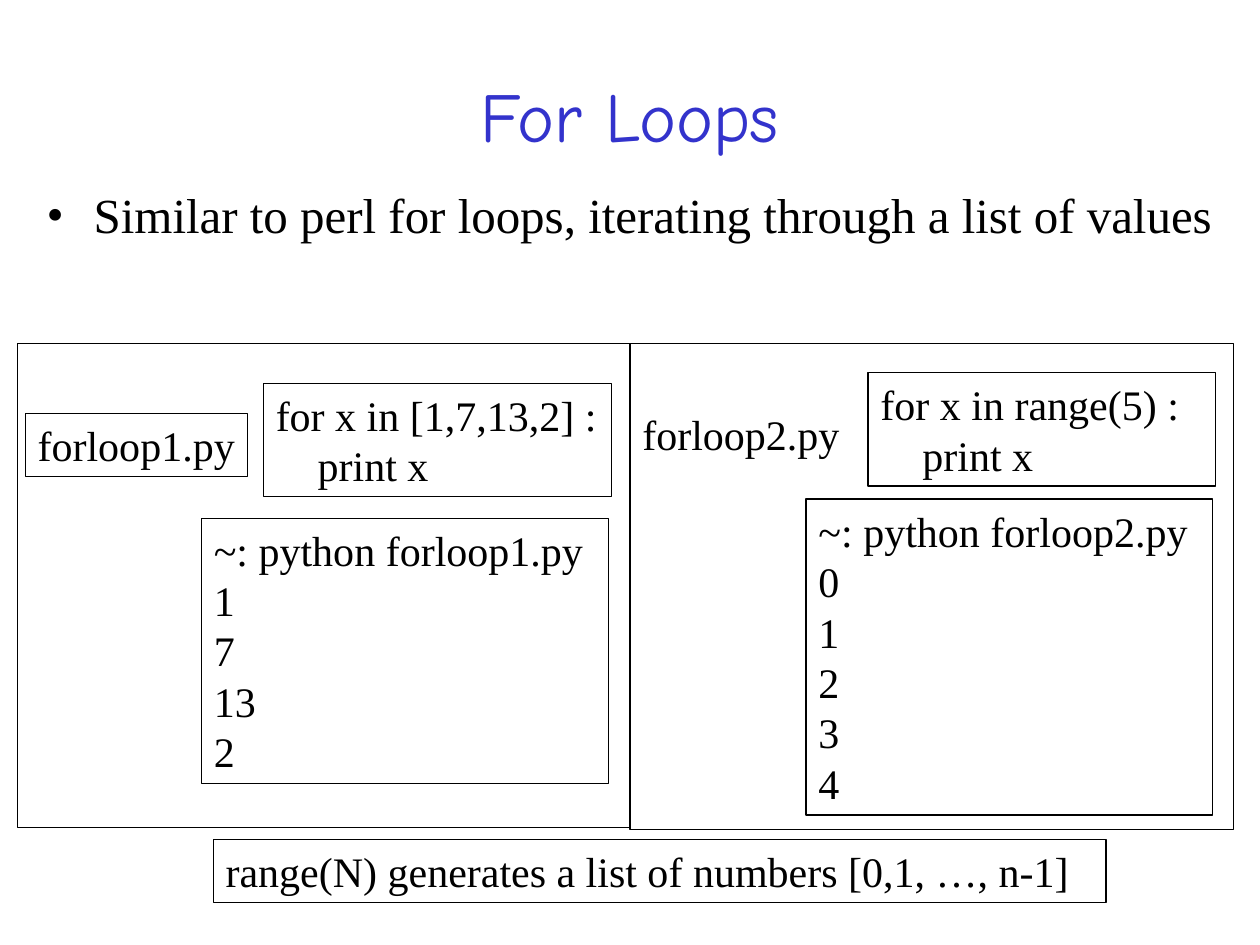
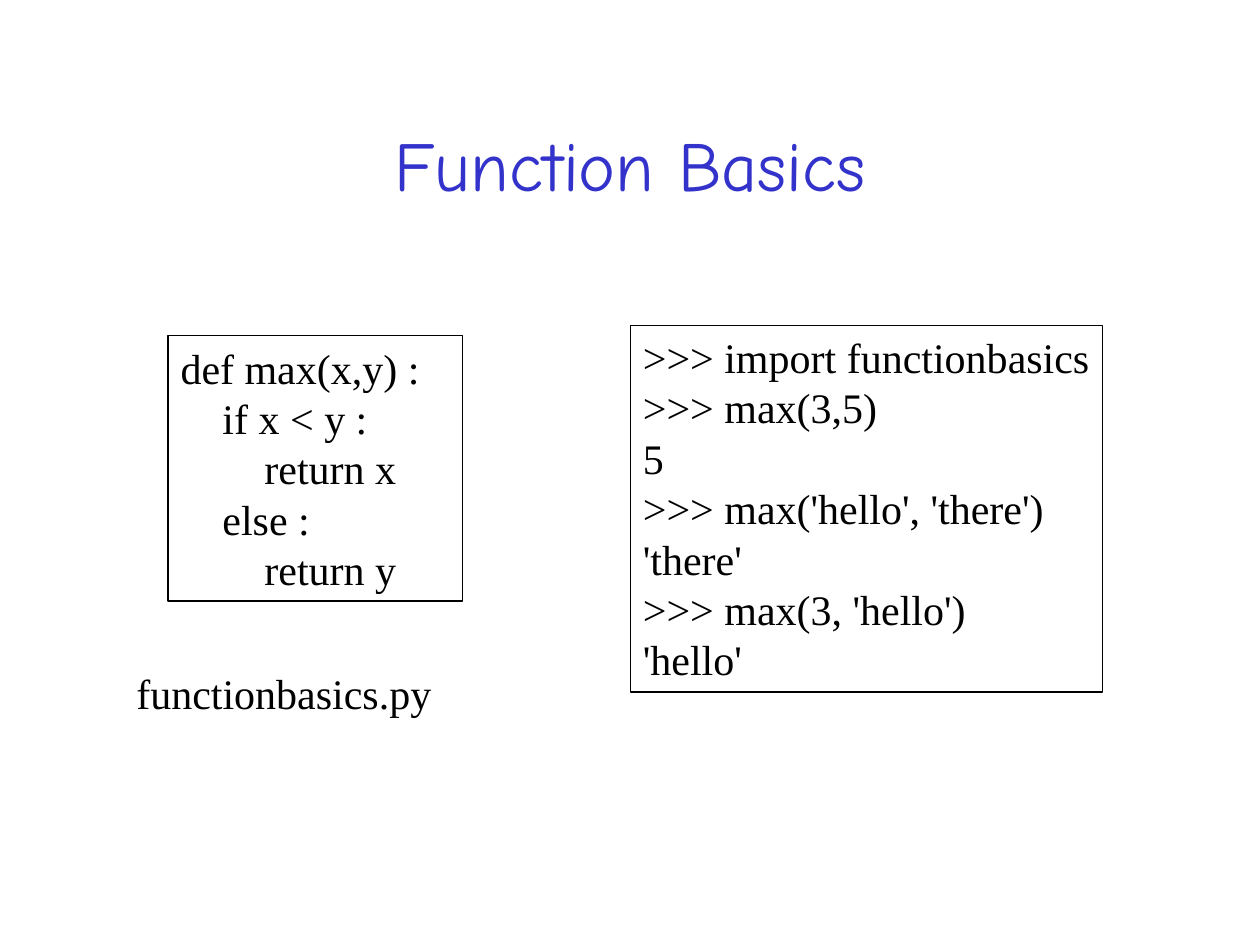
from lxml.etree import SubElement
from pptx import Presentation
from pptx.dml.color import RGBColor
from pptx.enum.shapes import MSO_SHAPE
from pptx.enum.text import MSO_ANCHOR, MSO_AUTO_SIZE, PP_ALIGN
from pptx.oxml.ns import qn
from pptx.util import Cm, Pt

BLACK = RGBColor(0x00, 0x00, 0x00)
TITLE_BLUE = RGBColor(0x33, 0x33, 0xCC)
TITLE_FONT = "Comic Neue"
BODY_FONT = "Times New Roman"
HAIRLINE, THIN = 0.25, 0.75
LINE_HEIGHT = 1.02   # cm, one line of 24 pt code
BOX_PADDING = 0.25   # cm, top and bottom insets together


def set_font(paragraph, name, size, color):
    paragraph.font.name = name
    paragraph.font.size = Pt(size)
    paragraph.font.color.rgb = color


def add_frame(slide, left, top, width, height, weight):
    """Add an unfilled rectangle with a black outline."""
    frame = slide.shapes.add_shape(
        MSO_SHAPE.RECTANGLE, Cm(left), Cm(top), Cm(width), Cm(height))
    frame.shadow.inherit = False
    frame.fill.background()
    frame.line.color.rgb = BLACK
    frame.line.width = Pt(weight)
    return frame


def add_code(slide, left, top, width, lines, weight=None):
    """Add left-aligned lines, framed when a line weight is given."""
    height = LINE_HEIGHT * len(lines) + BOX_PADDING
    if weight is None:
        box = slide.shapes.add_textbox(Cm(left), Cm(top), Cm(width), Cm(height))
    else:
        box = add_frame(slide, left, top, width, height, weight)
    text = box.text_frame
    text.word_wrap = True
    text.margin_right = Cm(0.1)  # leaves room for lines as wide as their box
    text.auto_size = MSO_AUTO_SIZE.SHAPE_TO_FIT_TEXT
    text.vertical_anchor = MSO_ANCHOR.TOP
    text.text = "\n".join(lines)
    for paragraph in text.paragraphs:
        paragraph.alignment = PP_ALIGN.LEFT
        set_font(paragraph, BODY_FONT, 24, BLACK)


def add_title(slide, title, top, height):
    box = slide.shapes.add_textbox(Cm(1.9), Cm(top), Cm(21.6), Cm(height))
    text = box.text_frame
    text.word_wrap = True
    text.vertical_anchor = MSO_ANCHOR.MIDDLE
    text.text = title
    paragraph = text.paragraphs[0]
    paragraph.alignment = PP_ALIGN.CENTER
    set_font(paragraph, TITLE_FONT, 40, TITLE_BLUE)


def add_bullet(slide, left, top, width, height, statement):
    box = slide.shapes.add_textbox(Cm(left), Cm(top), Cm(width), Cm(height))
    text = box.text_frame
    text.word_wrap = True
    text.text = statement
    paragraph = text.paragraphs[0]
    paragraph.line_spacing = 0.9
    properties = paragraph._p.get_or_add_pPr()
    properties.set("marL", str(Cm(0.95)))
    properties.set("indent", str(-Cm(0.95)))
    SubElement(properties, qn("a:buFont")).set("typeface", BODY_FONT)
    SubElement(properties, qn("a:buChar")).set("char", "•")
    set_font(paragraph, BODY_FONT, 28, BLACK)


def add_example(slide, panel, script_name, code, output, shift, output_top,
                weight, label_weight=None):
    """Fill a panel with a script's name, code and output, moved by shift."""
    left, top, width, height = panel
    x, y = left + shift[0], top + shift[1]
    add_code(slide, x + 3.55, top + output_top, 8.2,
             [f"~: python {script_name}", *output], weight)
    add_code(slide, x + 4.8, y + 0.58, 7.01, code, weight)
    add_code(slide, x, y + 1.19, 4.48, [script_name], label_weight)
    add_frame(slide, left, top, width, height, THIN)


def build_for_loops(slide):
    add_title(slide, "For Loops", 1.12, 2.39)
    add_bullet(slide, 0.69, 3.73, 24.2, 2,
               "Similar to perl for loops, iterating through a list of values")
    add_example(slide, (0.36, 6.93, 12.34, 9.75), "forloop1.py",
                ["for x in [1,7,13,2] :", "    print x"],
                ["1", "7", "13", "2"],
                shift=(0.15, 0.21), output_top=3.51,
                weight=HAIRLINE, label_weight=HAIRLINE)
    add_example(slide, (12.7, 6.93, 12.17, 9.8), "forloop2.py",
                ["for x in range(5) :", "    print x"],
                [str(number) for number in range(5)],
                shift=(0, 0), output_top=3.13, weight=THIN)
    add_code(slide, 4.3, 16.92, 18,
             ["range(N) generates a list of numbers [0,1, …, n-1]"], THIN)


def build_function_basics(slide):
    add_title(slide, "Function Basics", 1.7, 3.18)
    add_code(slide, 3.39, 6.77, 5.93,
             ["def max(x,y) :",
              "    if x < y :",
              "        return x",
              "    else :",
              "        return y"], THIN)
    add_code(slide, 12.71, 6.56, 9.51,
             [">>> import functionbasics",
              ">>> max(3,5)",
              "5",
              ">>> max('hello', 'there')",
              "'there'",
              ">>> max(3, 'hello')",
              "'hello'"], THIN)
    add_code(slide, 2.5, 13.34, 7.4, ["functionbasics.py"])


def main():
    presentation = Presentation()
    presentation.slide_width = Cm(25.4)
    presentation.slide_height = Cm(19.05)
    blank = presentation.slide_layouts[6]
    for build in (build_for_loops, build_function_basics):
        build(presentation.slides.add_slide(blank))
    presentation.save("out.pptx")


if __name__ == "__main__":
    main()
